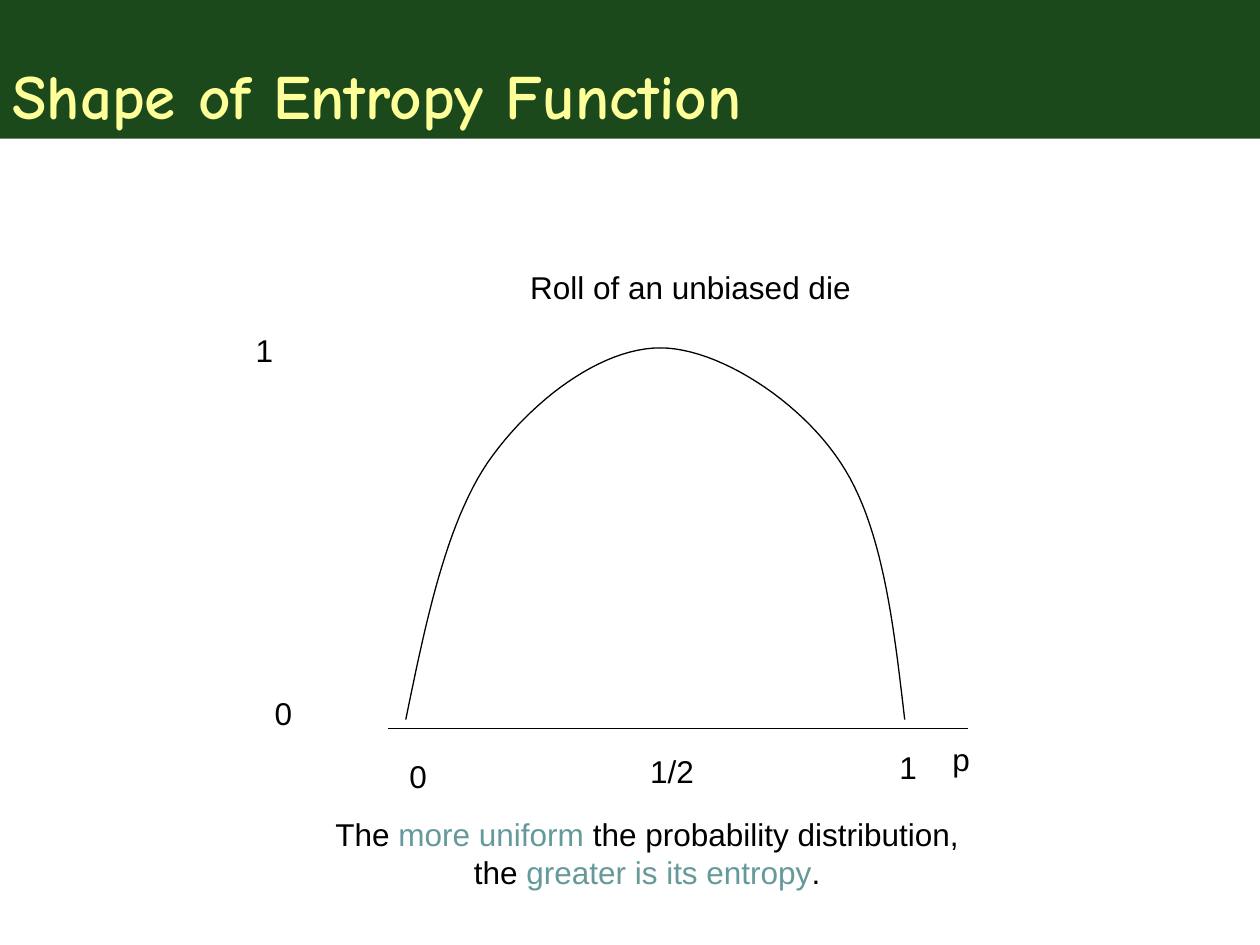
from lxml.etree import SubElement
from pptx import Presentation
from pptx.dml.color import RGBColor
from pptx.enum.shapes import MSO_CONNECTOR, MSO_SHAPE
from pptx.enum.text import MSO_ANCHOR, PP_ALIGN
from pptx.oxml.ns import qn
from pptx.util import Pt

COLORS = {"band": "003300", "title": "FFFF99", "text": "000000", "accent": "669999"}
LINE_WIDTH = 0.75
LABEL_HEIGHT = 28.8

# Entropy curve: start point, then Bezier segments (two controls and an end)
CURVE_START = (92.9, 225.4)
CURVE_SEGMENTS = [
    ((104.4, 169.2), (115.9, 113.8), (139.7, 78.5)),
    ((164.2, 43.2), (204.5, 13), (238.3, 13)),
    ((271.4, 13), (318.2, 43.2), (341.3, 78.5)),
    ((365, 113.8), (371.5, 169.2), (378, 225.4)),
]
STEPS = 24
UNITS_PER_POINT = 100

# Axis labels: text, left, top, width
AXIS_LABELS = [
    ("1", 0, 0, 24.5),
    ("0", 10.8, 207.4, 24.5),
    ("0", 87.8, 243.4, 24.5),
    ("1/2", 225.4, 240.5, 39.6),
    ("1", 367.9, 238.3, 24.5),
    ("p", 398.2, 233.3, 24.5),
]


def color(name):
    return RGBColor.from_string(COLORS[name])


def write_text(shape, paragraphs, size=18, font="Arial", bold=False,
               align=PP_ALIGN.LEFT, anchor=MSO_ANCHOR.TOP, wrap=False):
    """Fill a shape with paragraphs, each a list of (text, colour name) runs."""
    frame = shape.text_frame
    frame.word_wrap = wrap
    frame.vertical_anchor = anchor
    for index, runs in enumerate(paragraphs):
        paragraph = frame.add_paragraph() if index else frame.paragraphs[0]
        paragraph.alignment = align
        for text, color_name in runs:
            run = paragraph.add_run()
            run.text = text
            run.font.size = Pt(size)
            run.font.name = font
            run.font.bold = bold
            run.font.color.rgb = color(color_name)


def add_label(slide, left, top, width, height, paragraphs, **text_format):
    box = slide.shapes.add_textbox(Pt(left), Pt(top), Pt(width), Pt(height))
    write_text(box, paragraphs, **text_format)


def style_line(line):
    line.color.rgb = color("text")
    line.width = Pt(LINE_WIDTH)


def bezier_point(points, t):
    weights = ((1 - t) ** 3, 3 * t * (1 - t) ** 2, 3 * t ** 2 * (1 - t), t ** 3)
    return tuple(sum(w * point[axis] for w, point in zip(weights, points))
                 for axis in (0, 1))


def add_title_band(slide, left, top, width, height):
    band = slide.shapes.add_shape(MSO_SHAPE.RECTANGLE, Pt(left), Pt(top),
                                  Pt(width), Pt(height))
    band.shadow.inherit = False
    band.line.fill.background()
    band.fill.solid()
    band.fill.fore_color.rgb = color("band")
    # Slight transparency
    fill_color = band.fill._xPr.find(qn("a:solidFill"))[0]
    SubElement(fill_color, qn("a:alpha"), val="89000")
    write_text(band, [[("Shape of Entropy Function", "title")]], size=36,
               font="Comic Neue", bold=True, anchor=MSO_ANCHOR.BOTTOM, wrap=True)


def add_entropy_curve(slide, left, top):
    def scaled(point):
        return (round((left + point[0]) * UNITS_PER_POINT),
                round((top + point[1]) * UNITS_PER_POINT))

    points = []
    start = CURVE_START
    for segment in CURVE_SEGMENTS:
        points += [scaled(bezier_point((start, *segment), step / STEPS))
                   for step in range(1, STEPS + 1)]
        start = segment[-1]
    builder = slide.shapes.build_freeform(*scaled(CURVE_START),
                                          scale=Pt(1) / UNITS_PER_POINT)
    builder.add_line_segments(points, close=False)
    curve = builder.convert_to_shape()
    curve.shadow.inherit = False
    curve.fill.background()
    style_line(curve.line)


def add_entropy_plot(slide, left, top):
    add_entropy_curve(slide, left, top)
    # Horizontal axis
    axis_top = Pt(top + 230.4)
    axis = slide.shapes.add_connector(MSO_CONNECTOR.STRAIGHT, Pt(left + 82.8), axis_top,
                                      Pt(left + 414), axis_top)
    style_line(axis.line)
    SubElement(axis._element.spPr, qn("a:effectLst"))
    for text, x, y, width in AXIS_LABELS:
        add_label(slide, left + x, top + y, width, LABEL_HEIGHT, [[(text, "text")]])


def add_conclusion(slide, left, top, width, height):
    add_label(slide, left, top, width, height, [
        [("The ", "text"), ("more uniform", "accent"),
         (" the probability distribution, ", "text")],
        [("the ", "text"), ("greater is its entropy", "accent"), (".", "text")],
    ], align=PP_ALIGN.CENTER)


def main():
    presentation = Presentation()
    presentation.slide_width = Pt(720)
    presentation.slide_height = Pt(540)
    slide = presentation.slides.add_slide(presentation.slide_layouts[6])

    add_title_band(slide, 0, 0, 720, 79.2)
    add_label(slide, 295.9, 149.8, 197.3, LABEL_HEIGHT,
              [[("Roll of an unbiased die", "text")]])
    add_conclusion(slide, 182.2, 462.2, 375.1, 50.4)
    add_entropy_plot(slide, 139, 185.8)

    presentation.save("out.pptx")


if __name__ == "__main__":
    main()
